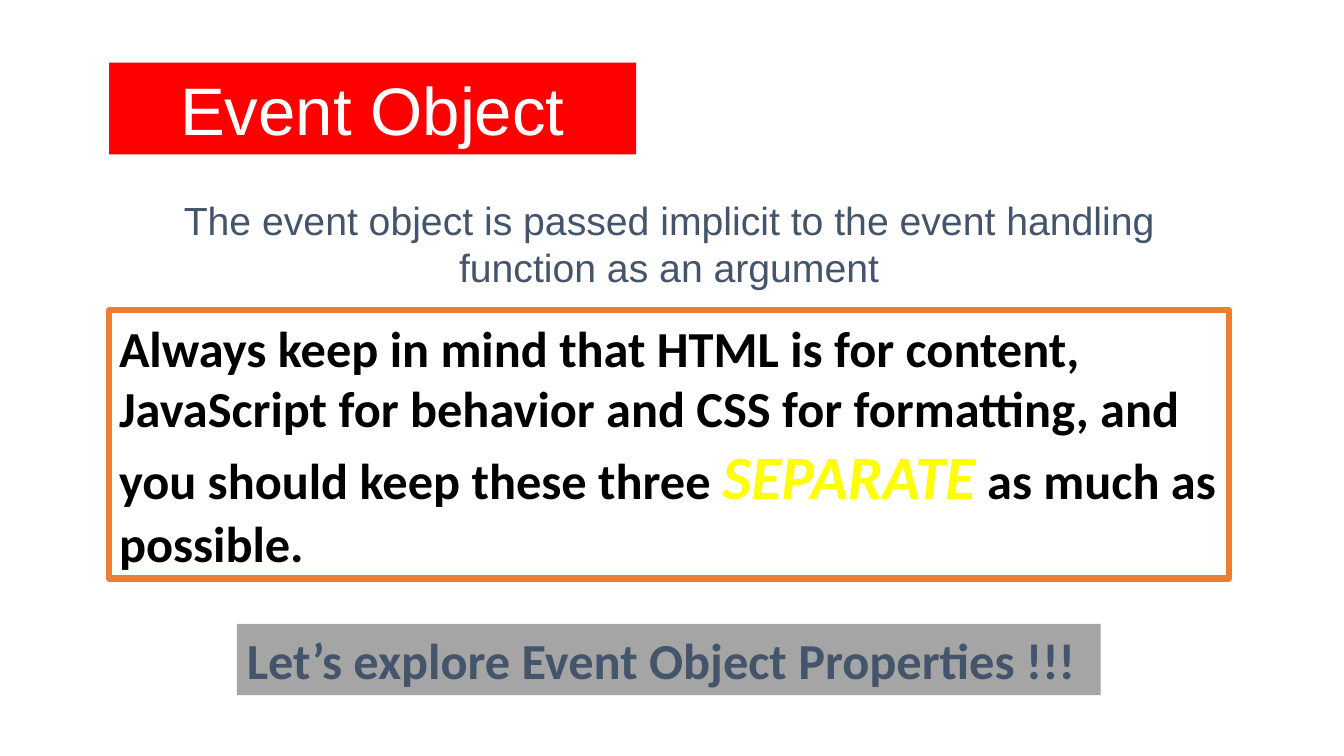
from dataclasses import dataclass

from pptx import Presentation
from pptx.dml.color import RGBColor
from pptx.enum.shapes import MSO_SHAPE
from pptx.enum.text import MSO_ANCHOR, PP_ALIGN
from pptx.util import Cm, Pt

RECT = MSO_SHAPE.RECTANGLE
MIDDLE = MSO_ANCHOR.MIDDLE
LEFT, CENTER = PP_ALIGN.LEFT, PP_ALIGN.CENTER


@dataclass(frozen=True)
class Theme:
    white: str = "FFFFFF"
    black: str = "000000"
    red: str = "FF0000"
    yellow: str = "FFFF00"
    orange: str = "ED7D31"
    gray: str = "A5A5A5"
    slate: str = "44546A"
    sans: str = "Arial"
    body: str = "Calibri"
    title: int = 48
    stress: int = 44
    main: int = 36
    lead: int = 28


THEME = Theme()


def rgb(color):
    return RGBColor.from_string(color)


def style(run, font, size, color, bold=False, italic=False):
    run.font.name = font
    run.font.size = Pt(size)
    run.font.color.rgb = rgb(color)
    run.font.bold = bold
    run.font.italic = italic


def add_panel(slide, box, fill, line=None):
    """Add a filled rectangle, with a thick border if a line colour is given."""
    panel = slide.shapes.add_shape(RECT, *map(Cm, box))
    panel.shadow.inherit = False
    panel.fill.solid()
    panel.fill.fore_color.rgb = rgb(fill)
    if line:
        panel.line.color.rgb = rgb(line)
        panel.line.width = Pt(4.5)
    else:
        panel.line.fill.background()
    return panel


def write(shape, parts, align=LEFT):
    """Fill a shape with one paragraph of (text, style arguments) parts."""
    frame = shape.text_frame
    frame.word_wrap = True
    frame.vertical_anchor = MIDDLE
    para = frame.paragraphs[0]
    para.alignment = align
    for text, *look in parts:
        run = para.add_run()
        run.text = text
        style(run, *look)


def main():
    deck = Presentation()
    deck.slide_width, deck.slide_height = Cm(33.87), Cm(19.05)
    slide = deck.slides.add_slide(deck.slide_layouts[6])
    t = THEME
    left, width = 2.75, 28.22

    rule = add_panel(slide, (left, 7.82, width, 6.76), t.white, t.orange)
    plain = (t.body, t.main, t.black, True)
    write(rule, [
        ("Always keep in mind that HTML is for content, JavaScript for "
         "behavior and CSS for formatting, and you should keep these three ",
         *plain),
        ("SEPARATE", t.body, t.stress, t.yellow, True, True),
        (" as much as possible.", *plain),
    ])

    title = add_panel(slide, (left, 1.58, 13.28, 2.31), t.red)
    write(title, [("Event Object", t.sans, t.title, t.white)], CENTER)

    lead = slide.shapes.add_textbox(Cm(left), Cm(4.78), Cm(width), Cm(2.72))
    write(lead, [("The event object is passed implicit to the event handling "
                  "function as an argument", t.sans, t.lead, t.slate)], CENTER)

    prompt = add_panel(slide, (5.97, 15.72, 21.77, 1.8), t.gray)
    write(prompt, [("Let’s explore Event Object Properties !!!",
                    t.body, t.main, t.slate, True)])

    deck.save("out.pptx")


if __name__ == "__main__":
    main()
